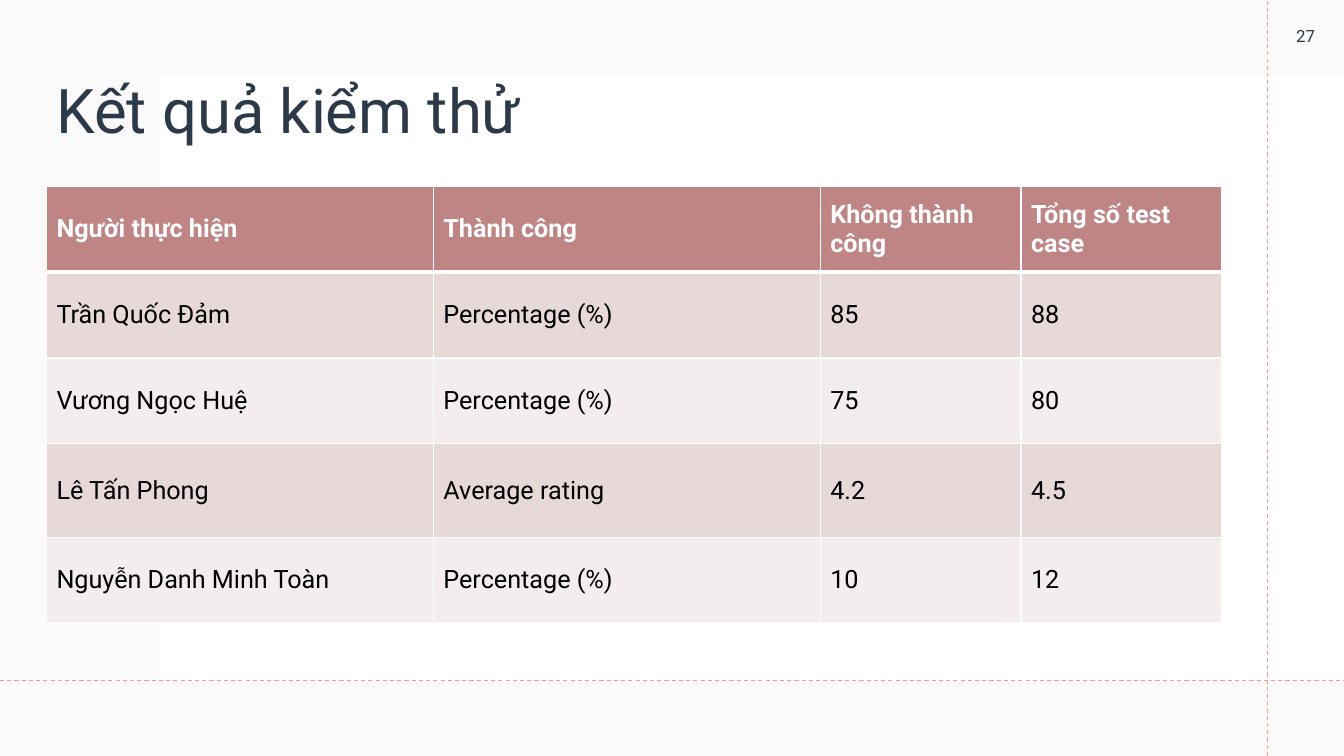
from lxml.etree import SubElement
from pptx import Presentation
from pptx.dml.color import RGBColor
from pptx.enum.dml import MSO_LINE
from pptx.enum.shapes import MSO_CONNECTOR, MSO_SHAPE
from pptx.enum.text import MSO_ANCHOR, PP_ALIGN
from pptx.oxml.ns import qn
from pptx.util import Cm, Pt

WIDTH, HEIGHT = 33.87, 19.05
INK, WHITE, GUIDE = "2C3948", "FFFFFF", "F49D90"
HEADER_FILL, BAND_FILLS = "BF8484", ("E8D9D9", "F4EDED")

COLUMN_WIDTHS = (9.75, 9.75, 5.06, 5.06)
ROW_HEIGHTS = (2.16, 2.16, 2.16, 2.36, 2.16)
RESULTS = (
    ("Người thực hiện", "Thành công", "Không thành công", "Tổng số test case"),
    ("Trần Quốc Đảm", "Percentage (%)", "85", "88"),
    ("Vương Ngọc Huệ", "Percentage (%)", "75", "80"),
    ("Lê Tấn Phong", "Average rating", "4.2", "4.5"),
    ("Nguyễn Danh Minh Toàn", "Percentage (%)", "10", "12"),
)


def rgb(color):
    return RGBColor.from_string(color)


def set_text(tf, text, color, **font_format):
    p = tf.paragraphs[0]
    r = p.add_run()
    r.text = text
    r.font.color.rgb = rgb(color)
    for name, value in {"name": "Roboto", **font_format}.items():
        setattr(r.font, name, value)
    return p


def add_panel(s, box, color, opacity=None):
    """Add a borderless rectangle, with opacity in percent."""
    sp = s.shapes.add_shape(MSO_SHAPE.RECTANGLE, *map(Cm, box))
    sp.shadow.inherit = False
    sp.line.fill.background()
    sp.fill.solid()
    sp.fill.fore_color.rgb = rgb(color)
    if opacity is not None:
        srgb = next(sp.fill._xPr.iter(qn("a:srgbClr")))
        SubElement(srgb, qn("a:alpha"), val=str(opacity * 1000))


def add_guide(s, x1, y1, x2, y2):
    guide = s.shapes.add_connector(MSO_CONNECTOR.STRAIGHT, *map(Cm, (x1, y1, x2, y2)))
    guide.line.color.rgb = rgb(GUIDE)
    guide.line.width = Pt(0.75)
    guide.line.dash_style = MSO_LINE.DASH
    SubElement(guide._element.spPr, qn("a:effectLst"))


def add_background(s, box):
    left, top, width, height = box
    panel_top, guide_x, guide_y = top + 1.91, left + 31.93, top + 17.15
    add_panel(s, box, "F4F4F4", opacity=45)
    add_panel(s, (left + 4.02, panel_top, width - 4.02, guide_y - panel_top), WHITE)
    add_guide(s, guide_x, top + height, guide_x, top)
    add_guide(s, left, guide_y, left + width, guide_y)


def add_label(s, box, text, size, align=PP_ALIGN.LEFT, spacing=1.0):
    tf = s.shapes.add_textbox(*map(Cm, box)).text_frame
    tf.word_wrap = True
    tf.vertical_anchor = MSO_ANCHOR.MIDDLE
    p = set_text(tf, text, INK, size=Pt(size))
    p.alignment = align
    p.line_spacing = spacing


def set_borders(cell, top, bottom):
    """Draw white borders; top and bottom widths are in points."""
    tc_pr = cell._tc.get_or_add_tcPr()
    widths = {"lnL": 1, "lnR": 1, "lnT": top, "lnB": bottom}
    for i, (tag, width) in enumerate(widths.items()):
        ln = tc_pr.makeelement(qn(f"a:{tag}"), {"w": str(Pt(width))})
        SubElement(SubElement(ln, qn("a:solidFill")), qn("a:srgbClr"), val=WHITE)
        tc_pr.insert(i, ln)


def add_results_table(s, box):
    table = s.shapes.add_table(len(RESULTS), len(COLUMN_WIDTHS), *map(Cm, box)).table
    for column, width in zip(table.columns, COLUMN_WIDTHS):
        column.width = Cm(width)
    for i, (row, height, values) in enumerate(zip(table.rows, ROW_HEIGHTS, RESULTS)):
        row.height = Cm(height)
        header = i == 0
        fill = HEADER_FILL if header else BAND_FILLS[(i - 1) % 2]
        for cell, value in zip(row.cells, values):
            cell.vertical_anchor = MSO_ANCHOR.MIDDLE
            cell.fill.solid()
            cell.fill.fore_color.rgb = rgb(fill)
            set_text(cell.text_frame, value, WHITE if header else "000000",
                     size=Pt(18), bold=header)
            set_borders(cell, top=3 if i == 1 else 1, bottom=3 if header else 1)


def build_results_slide(prs):
    s = prs.slides.add_slide(prs.slide_layouts[6])
    left, width, table_top = 1.17, sum(COLUMN_WIDTHS), 4.7
    add_background(s, (0, 0, WIDTH, HEIGHT))
    add_label(s, (left, 1.02, width, table_top - 1.02), "Kết quả kiểm thử", 44, spacing=0.9)
    add_label(s, (31.95, -0.05, 1.91, 1.91), "27", 12, align=PP_ALIGN.CENTER)
    add_results_table(s, (left, table_top, width, sum(ROW_HEIGHTS)))


def main():
    prs = Presentation()
    prs.slide_width, prs.slide_height = Cm(WIDTH), Cm(HEIGHT)
    build_results_slide(prs)
    prs.save("out.pptx")


if __name__ == "__main__":
    main()
